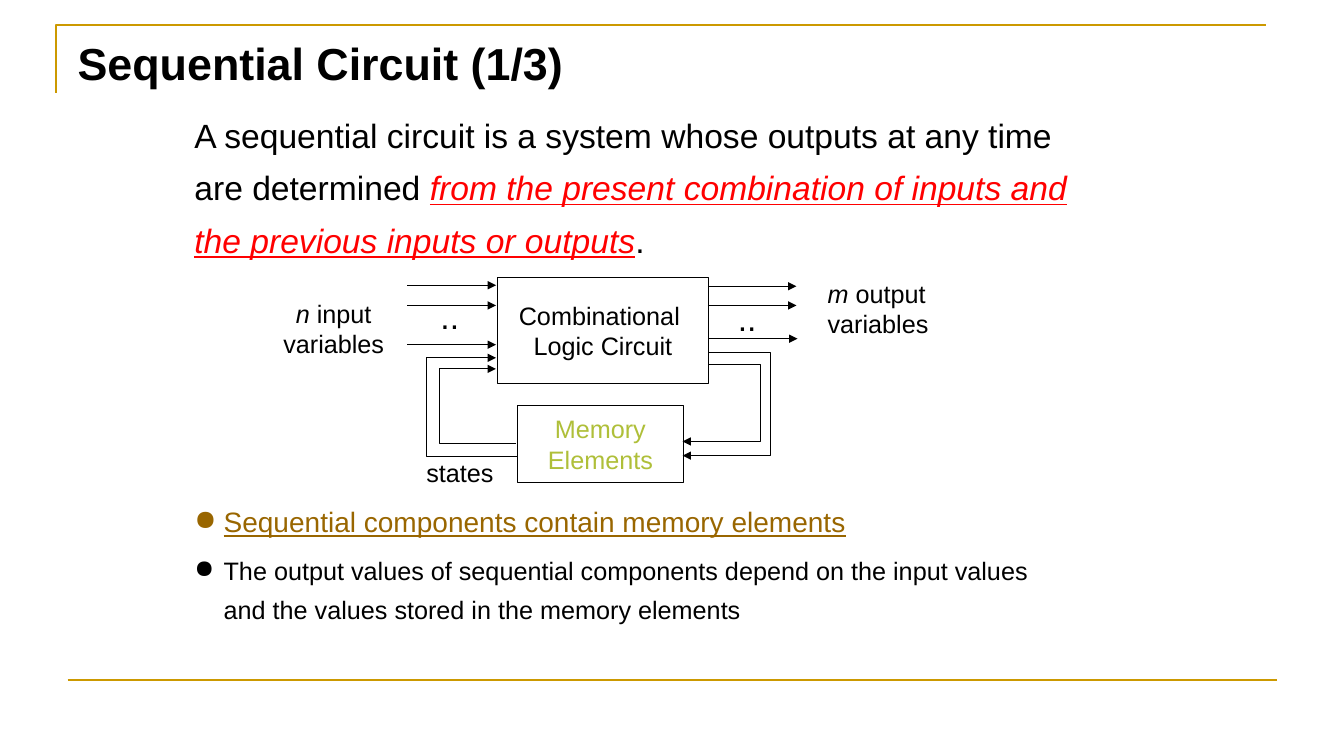
from dataclasses import dataclass
from typing import Optional

from lxml import etree
from pptx import Presentation
from pptx import util as u
from pptx.dml.color import RGBColor
from pptx.enum import shapes, text
from pptx.oxml import ns

HUES = {"black": "000000", "white": "FFFFFF", "red": "FF0000",
        "gold": "CC9900", "brown": "996600", "lime": "AFBF39"}
LEFT, MID = text.PP_ALIGN.LEFT, text.PP_ALIGN.CENTER
TOP, CENTRE = text.MSO_ANCHOR.TOP, text.MSO_ANCHOR.MIDDLE


@dataclass
class Run:
    words: str
    size: float = 18
    hue: str = "black"
    bold: bool = False
    slant: bool = False
    under: bool = False


@dataclass
class Para:
    runs: list[Run]
    align: text.PP_ALIGN = LEFT
    space: Optional[float] = None
    before: float = 0
    bullet: Optional[str] = None


@dataclass
class Block:
    """Paragraphs in a box: left, top, width, height."""
    box: tuple[float, float, float, float]
    paras: list[Para]
    wrap: bool = False


@dataclass
class Path:
    points: list[tuple[float, float]]
    hue: str = "black"
    width: float = 0.75
    arrow: bool = True


TITLE = Block((0.67, 0.3, 5.06, 0.64),
              [Para([Run("Sequential Circuit (1/3)", 32, bold=True)])])

NOTES = [
    Block((1.83, 0.97, 9.02, 2.2), [Para([
        Run("A sequential circuit is a system whose outputs at any time "
            "are determined ", 24),
        Run("from the present combination of inputs and the previous "
            "inputs or outputs", 24, "red", slant=True, under=True),
        Run(".", 24)], space=1.3)], wrap=True),
    Block((4.27, 2.89, 0.39, 0.5), [Para([Run("..", 24)])]),
    Block((7.22, 2.91, 0.39, 0.5), [Para([Run("..", 24)])]),
    Block((2.71, 2.91, 1.2, 0.7), [
        Para([Run("n", slant=True), Run(" input")], MID),
        Para([Run("variables")], MID)]),
    Block((8.11, 2.71, 1.24, 0.7), [
        Para([Run("m", slant=True), Run(" output")]),
        Para([Run("variables")])]),
    Block((4.13, 4.49, 0.87, 0.4), [Para([Run("states")])]),
    Block((1.83, 4.86, 8.57, 1.38), [
        Para([Run("Sequential components contain memory elements", 20,
                  "brown", under=True)], space=1.3, bullet="brown"),
        Para([Run("The output values of sequential components depend on the "
                  "input values and the values stored in the memory "
                  "elements")], space=1.3, before=5.4, bullet="black")],
          wrap=True),
]

UNITS = [
    Block((4.93, 2.75, 2.1, 1.06), [
        Para([Run("Combinational ")], MID),
        Para([Run("Logic Circuit")], MID)], wrap=True),
    Block((5.13, 4.02, 1.65, 0.77), [
        Para([Run(word, hue="lime")], MID)
        for word in ("Memory", "Elements")], wrap=True),
]

INPUTS = [Path([(4.04, y), (4.92, y)]) for y in (2.83, 3.03, 3.42)]
OUTPUTS = [Path([(x, y), (x + 0.88, y)])
           for x, y in ((7.02, 2.84), (7.02, 3.03), (7.03, 3.36))]
FRAME = Path([(0.56, 0.92), (0.56, 0.25), (12.56, 0.25)], "gold", 1.5, False)
FOOT = Path([(0.67, 6.75), (12.67, 6.75)], "gold", 1.5, False)


def loop(start: float, turn: float, end: float,
         first: float, last: float) -> Path:
    """Feedback wire: out from start to turn, then back to end."""
    return Path([(start, first), (turn, first), (turn, last), (end, last)])


LOOPS = [loop(7.03, 7.54, 6.77, 3.62, 4.38),
         loop(7.03, 7.64, 6.77, 3.5, 4.52),
         loop(5.12, 4.36, 4.92, 4.4, 3.66),
         loop(5.13, 4.23, 4.92, 4.53, 3.55)]


def tint(name: str) -> RGBColor:
    return RGBColor.from_string(HUES[name])


def add_mark(para, hue: str) -> None:
    """Give a paragraph a hanging round bullet."""
    props = para._p.get_or_add_pPr()
    props.set("marL", str(u.Inches(0.29)))
    props.set("indent", str(u.Inches(-0.29)))
    colour = etree.SubElement(props, ns.qn("a:buClr"))
    etree.SubElement(colour, ns.qn("a:srgbClr"), val=HUES[hue])
    etree.SubElement(props, ns.qn("a:buChar"), char="●")


def fill_text(shape, block: Block, anchor) -> None:
    frame = shape.text_frame
    frame.auto_size = text.MSO_AUTO_SIZE.NONE
    frame.word_wrap = block.wrap
    frame.vertical_anchor = anchor
    for i, item in enumerate(block.paras):
        para = frame.add_paragraph() if i else frame.paragraphs[0]
        para.alignment = item.align
        para.space_before = u.Pt(item.before)
        if item.space:
            para.line_spacing = item.space
        if item.bullet:
            add_mark(para, item.bullet)
        for part in item.runs:
            run = para.add_run()
            run.text = part.words
            font = run.font
            font.name, font.size = "Arial", u.Pt(part.size)
            font.bold, font.italic = part.bold, part.slant
            font.underline = part.under
            font.color.rgb = tint(part.hue)


def add_title(slide, block: Block) -> None:
    title = slide.shapes.title
    title.left, title.top, title.width, title.height = map(u.Inches, block.box)
    fill_text(title, block, TOP)


def add_note(slide, block: Block) -> None:
    fill_text(slide.shapes.add_textbox(*map(u.Inches, block.box)), block, TOP)


def add_unit(slide, block: Block) -> None:
    shape = slide.shapes.add_shape(shapes.MSO_SHAPE.RECTANGLE,
                                   *map(u.Inches, block.box))
    shape.shadow.inherit = False
    shape.fill.solid()
    shape.fill.fore_color.rgb = tint("white")
    shape.line.color.rgb = tint("black")
    shape.line.width = u.Pt(0.75)
    fill_text(shape, block, CENTRE)


def add_path(slide, path: Path) -> None:
    """Draw a connector for two points and an open outline for more."""
    spots = [(u.Inches(x), u.Inches(y)) for x, y in path.points]
    if len(spots) == 2:
        shape = slide.shapes.add_connector(shapes.MSO_CONNECTOR.STRAIGHT,
                                           *spots[0], *spots[1])
        etree.SubElement(shape._element.spPr, ns.qn("a:effectLst"))
    else:
        pen = slide.shapes.build_freeform(*spots[0])
        pen.add_line_segments(spots[1:], close=False)
        shape = pen.convert_to_shape()
        shape.shadow.inherit = False
        shape.fill.background()
    shape.line.color.rgb = tint(path.hue)
    shape.line.width = u.Pt(path.width)
    if path.arrow:
        etree.SubElement(shape.line._get_or_add_ln(), ns.qn("a:tailEnd"),
                         type="triangle")


def main() -> None:
    deck = Presentation()
    deck.slide_width, deck.slide_height = u.Inches(13.33), u.Inches(7.5)
    slide = deck.slides.add_slide(deck.slide_layouts[5])
    add_title(slide, TITLE)
    for unit in UNITS:
        add_unit(slide, unit)
    for path in [FRAME, FOOT, *INPUTS, *OUTPUTS, *LOOPS]:
        add_path(slide, path)
    for note in NOTES:
        add_note(slide, note)
    deck.save("out.pptx")


if __name__ == "__main__":
    main()
